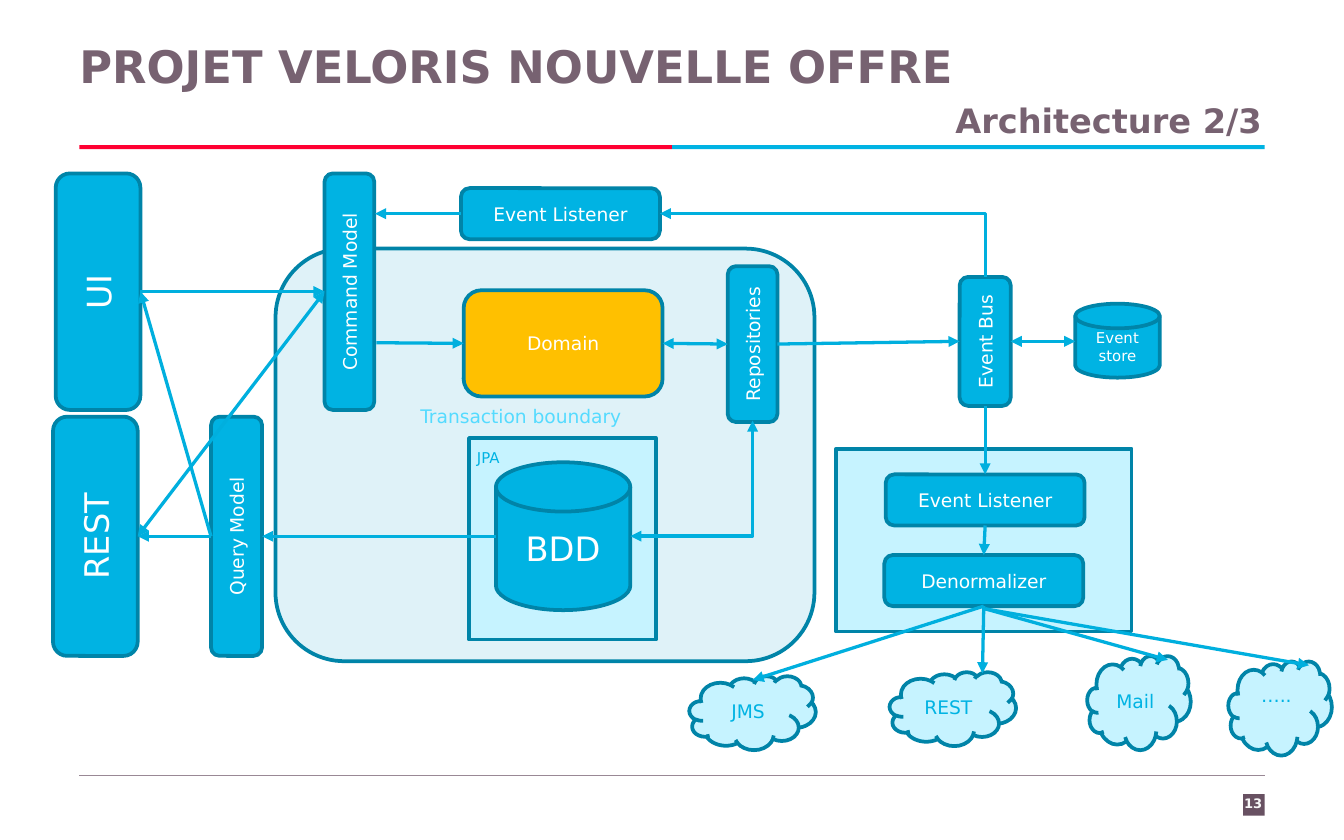
from dataclasses import dataclass

from pptx import Presentation
from pptx.dml.color import RGBColor
from pptx.enum import shapes, text
from pptx.oxml.ns import qn
from pptx.util import Inches, Pt
from lxml import etree


@dataclass(frozen=True)
class Theme:
    font: str = "DejaVu Sans"
    heading: str = "776271"
    red: str = "FF0032"
    cyan: str = "00B3E3"
    outline: str = "0084A8"
    arrow: str = "00AFDE"
    pale: str = "C6F3FF"
    zone: str = "DFF2F8"
    amber: str = "FFC000"
    caption: str = "55DBFF"
    plum: str = "685162"
    rule: str = "998895"
    white: str = "FFFFFF"
    off_white: str = "F8F8F8"
    title_size: int = 24
    large: int = 18
    normal: int = 10
    small: int = 8
    tiny: int = 7
    outline_width: float = 2
    arrow_width: float = 1.75


THEME = Theme()
TOP, LEFT, BOTTOM, RIGHT = range(4)
KIND = shapes.MSO_SHAPE
BOX, DISK = KIND.FLOWCHART_ALTERNATE_PROCESS, KIND.FLOWCHART_MAGNETIC_DISK
MARGIN, CONTENT_WIDTH = 0.59, 8.82

# Content: key, label, preset, (left, top, width, height) as seen, fill, text size
BLOCKS = [
    ("boundary", "", BOX, (2.05, 1.85, 4.01, 3.07), THEME.zone, THEME.normal),
    ("jpa", "", KIND.RECTANGLE, (3.49, 3.26, 1.39, 1.5), THEME.pale, THEME.normal),
    ("projection", "", KIND.RECTANGLE, (6.22, 3.34, 2.2, 1.36), THEME.pale, THEME.normal),
    ("database", "BDD", DISK, (3.69, 3.44, 1, 1.1), THEME.cyan, THEME.large),
    ("domain", "Domain", KIND.ROUNDED_RECTANGLE, (3.45, 2.16, 1.48, 0.79), THEME.amber, THEME.normal),
    ("command listener", "Event Listener", BOX, (3.43, 1.4, 1.48, 0.38), THEME.cyan, THEME.normal),
    ("query listener", "Event Listener", BOX, (6.59, 3.53, 1.48, 0.38), THEME.cyan, THEME.normal),
    ("denormalizer", "Denormalizer", BOX, (6.58, 4.13, 1.48, 0.38), THEME.cyan, THEME.normal),
    ("event store", "Event store", DISK, (8, 2.26, 0.63, 0.55), THEME.cyan, THEME.small),
    ("jms", "JMS", KIND.CLOUD, (5.13, 5.03, 0.94, 0.55), THEME.pale, THEME.normal),
    ("rest out", "REST", KIND.CLOUD, (6.62, 5, 0.94, 0.55), THEME.pale, THEME.normal),
    ("mail", "Mail", KIND.CLOUD, (8.09, 4.88, 0.77, 0.7), THEME.pale, THEME.normal),
    ("others", "…..", KIND.CLOUD, (9.14, 4.92, 0.77, 0.7), THEME.pale, THEME.normal),
]

# Blocks turned to read upwards: key, label, (centre x, centre y), length, thickness, size
UPRIGHT_BLOCKS = [
    ("ui", "UI", (0.73, 2.17), 1.76, 0.63, THEME.large),
    ("rest", "REST", (0.71, 3.99), 1.78, 0.63, THEME.large),
    ("command", "Command Model", (2.6, 2.17), 1.76, 0.37, THEME.normal),
    ("query", "Query Model", (1.76, 3.99), 1.78, 0.38, THEME.normal),
    ("repositories", "Repositories", (5.6, 2.56), 1.16, 0.37, THEME.normal),
    ("bus", "Event Bus", (7.33, 2.54), 0.96, 0.38, THEME.normal),
]

# Links: from, to, arrowheads; an end is (block key, side) or a point (x, y)
LINKS = [
    (("command listener", LEFT), (2.79, 1.59), "end"),
    (("query", RIGHT), (3.69, 3.99), "begin"),
    (("ui", RIGHT), ("command", LEFT), "end"),
    (("ui", RIGHT), ("query", LEFT), "begin"),
    (("rest", RIGHT), ("query", LEFT), "begin"),
    (("command", LEFT), ("rest", RIGHT), "both"),
    ((2.8, 2.55), ("domain", LEFT), "end"),
    (("domain", RIGHT), ("repositories", LEFT), "both"),
    (("repositories", RIGHT), ("bus", LEFT), "end"),
    (("bus", RIGHT), (8, 2.54), "both"),
    (("bus", BOTTOM), ("query listener", TOP), "end"),
    (("query listener", BOTTOM), ("denormalizer", TOP), "end"),
    (("denormalizer", BOTTOM), (5.6, 5.06), "end"),
    (("denormalizer", BOTTOM), (7.31, 5.01), "end"),
    ((7.33, 4.53), (8.69, 4.91), "end"),
    ((7.33, 4.53), (9.74, 4.95), "end"),
]
# Links that run sideways, then turn once
CORNER_LINKS = [
    ((4.91, 1.59), (7.33, 2.06), "begin"),
    ((4.69, 3.99), (5.6, 3.13), "both"),
]

# Loose text: text, (left, top, width, height), size, colour, bold, alignment, insets
ALIGN = text.PP_ALIGN
LABELS = [
    ("Architecture 2/3", (0.57, 0.74, CONTENT_WIDTH, 0.51), THEME.large, THEME.heading, True, ALIGN.RIGHT, 0),
    ("13", (9.09, 5.81, 0.47, 0.33), THEME.tiny, THEME.off_white, True, ALIGN.CENTER, None),
    ("JPA", (3.45, 3.29, 0.92, 0.24), THEME.small, THEME.cyan, False, ALIGN.LEFT, None),
    ("Transaction boundary", (3.03, 2.96, 1.94, 0.27), THEME.normal, THEME.caption, False, ALIGN.LEFT, None),
]


def write(frame, words, size, color, bold=False, align=ALIGN.CENTER,
          anchor=text.MSO_ANCHOR.MIDDLE, inset=None):
    frame.word_wrap = True
    frame.auto_size = text.MSO_AUTO_SIZE.NONE
    frame.vertical_anchor = anchor
    if inset is not None:
        frame.margin_left = frame.margin_right = Inches(inset)
        frame.margin_top = frame.margin_bottom = Inches(inset)
    paragraph = frame.paragraphs[0]
    paragraph.alignment = align
    run = paragraph.add_run()
    run.text = words
    run.font.name, run.font.size, run.font.bold = THEME.font, Pt(size), bold
    run.font.color.rgb = RGBColor.from_string(color)


def add_block(slide, preset, area, fill, outline=None, words="", size=THEME.normal):
    shape = slide.shapes.add_shape(preset, *map(Inches, area))
    shape.shadow.inherit = False
    shape.fill.solid()
    shape.fill.fore_color.rgb = RGBColor.from_string(fill)
    if outline:
        shape.line.color.rgb = RGBColor.from_string(outline)
        shape.line.width = Pt(THEME.outline_width)
    else:
        shape.line.fill.background()
    if words:
        write(shape.text_frame, words, size, THEME.cyan if fill == THEME.pale else THEME.white)
    return shape


def add_line(slide, begin, end, color, width, heads="", corner=False):
    kind = shapes.MSO_CONNECTOR.ELBOW if corner else shapes.MSO_CONNECTOR.STRAIGHT
    connector = slide.shapes.add_connector(kind, *map(Inches, (*begin, *end)))
    connector.line.color.rgb = RGBColor.from_string(color)
    connector.line.width = Pt(width)
    properties = connector._element.spPr
    if corner:
        properties.find(qn("a:prstGeom")).set("prst", "bentConnector2")
    for tag, where in (("a:headEnd", "begin"), ("a:tailEnd", "end")):
        if heads in (where, "both"):
            etree.SubElement(properties.find(qn("a:ln")), qn(tag), type="triangle")
    etree.SubElement(properties, qn("a:effectLst"))
    return connector


def side_point(shape, side):
    """Middle of a side as seen, in inches, also for upright blocks."""
    width, height = shape.width.inches, shape.height.inches
    x, y = shape.left.inches + width / 2, shape.top.inches + height / 2
    if shape.rotation:
        width, height = height, width
    dx, dy = ((0, -1), (-1, 0), (0, 1), (1, 0))[side]
    return x + dx * width / 2, y + dy * height / 2


def add_link(slide, blocks, begin, end, heads):
    ends = (begin, end)
    joined = [isinstance(place[0], str) for place in ends]
    points = [side_point(blocks[place[0]], place[1]) if join else place
              for place, join in zip(ends, joined)]
    connector = add_line(slide, *points, THEME.arrow, THEME.arrow_width, heads)
    for place, join, connect in zip(ends, joined, (connector.begin_connect, connector.end_connect)):
        if join:
            shape = blocks[place[0]]
            connect(shape, (place[1] - 1) % 4 if shape.rotation else place[1])
    # Joining ignores rotation, so set the visible ends again
    (connector.begin_x, connector.begin_y), (connector.end_x, connector.end_y) = [
        tuple(map(Inches, point)) for point in points]


def main():
    presentation = Presentation()
    presentation.slide_width, presentation.slide_height = Inches(10), Inches(6.25)
    slide = presentation.slides.add_slide(presentation.slide_layouts[5])

    # Heading, rules and page number square
    title = slide.shapes.title
    title.left, title.top, title.width, title.height = map(Inches, (MARGIN, 0.29, CONTENT_WIDTH, 0.51))
    write(title.text_frame, "PROJET VELORIS NOUVELLE OFFRE", THEME.title_size, THEME.heading, True,
          ALIGN.LEFT, text.MSO_ANCHOR.TOP, 0)
    half = CONTENT_WIDTH / 2
    for index, color in enumerate((THEME.red, THEME.cyan)):
        add_block(slide, KIND.RECTANGLE, (MARGIN + index * half, 1.08, half, 0.03), color)
    add_line(slide, (MARGIN, 5.77), (MARGIN + CONTENT_WIDTH, 5.77), THEME.rule, 0.75)
    add_block(slide, KIND.RECTANGLE, (9.25, 5.91, 0.16, 0.16), THEME.plum)

    # Blocks
    blocks = {}
    for key, words, preset, area, fill, size in BLOCKS:
        blocks[key] = add_block(slide, preset, area, fill, THEME.outline, words, size)
    blocks["others"].text_frame.margin_bottom = Inches(0.21)
    for key, words, (x, y), length, thickness, size in UPRIGHT_BLOCKS:
        area = (x - length / 2, y - thickness / 2, length, thickness)
        blocks[key] = add_block(slide, BOX, area, THEME.cyan, THEME.outline, words, size)
        blocks[key].rotation = 270

    # Links
    for link in LINKS:
        add_link(slide, blocks, *link)
    for begin, end, heads in CORNER_LINKS:
        add_line(slide, begin, end, THEME.arrow, THEME.arrow_width, heads, corner=True)

    # Loose text
    for words, area, size, color, bold, align, inset in LABELS:
        box = slide.shapes.add_textbox(*map(Inches, area))
        anchor = text.MSO_ANCHOR.MIDDLE if align == ALIGN.CENTER else text.MSO_ANCHOR.TOP
        write(box.text_frame, words, size, color, bold, align, anchor, inset)

    presentation.save("out.pptx")


if __name__ == "__main__":
    main()
